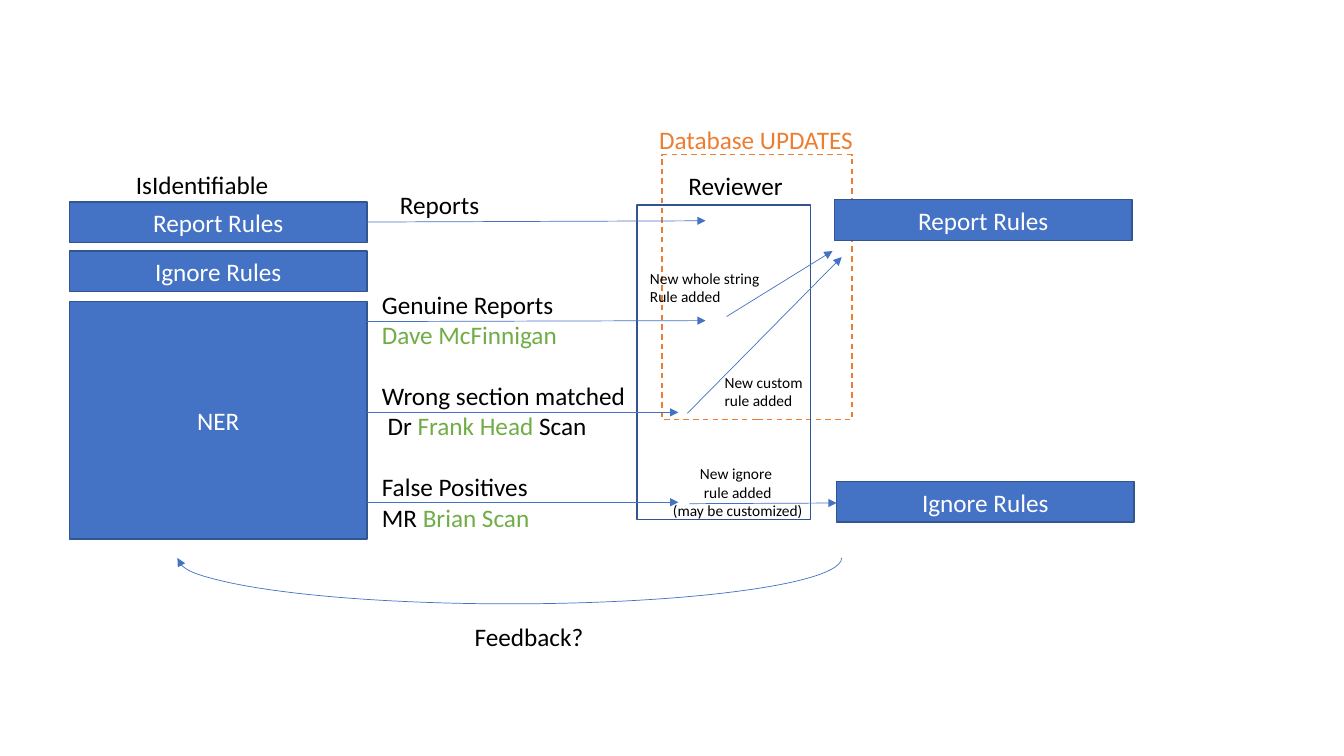
from lxml import etree
from pptx import Presentation
from pptx.dml.color import RGBColor
from pptx.enum import dml, shapes, text
from pptx.oxml import ns
from pptx.util import Pt

BLACK = RGBColor(0x00, 0x00, 0x00)
WHITE = RGBColor(0xFF, 0xFF, 0xFF)
BLUE = RGBColor(0x44, 0x72, 0xC4)
NAVY = RGBColor(0x32, 0x54, 0x91)
ORANGE = RGBColor(0xED, 0x7D, 0x31)
GREEN = RGBColor(0x70, 0xAD, 0x47)


def write(frame, groups, size=18, color=BLACK, align=text.PP_ALIGN.LEFT, gap=22):
    paragraph = None
    for group in groups:
        for row, runs in enumerate(group):
            first = paragraph is None
            paragraph = frame.paragraphs[0] if first else frame.add_paragraph()
            paragraph.alignment = align
            if row == 0 and not first:
                paragraph.space_before = Pt(gap)
            for words, tint in [(runs, color)] if isinstance(runs, str) else runs:
                run = paragraph.add_run()
                run.text = words
                run.font.name = "Calibri"
                run.font.size = Pt(size)
                run.font.color.rgb = tint


class Diagram:
    def __init__(self, slide):
        self.slide = slide

    def shape(self, kind, x, y, width, height, line, weight=1):
        item = self.slide.shapes.add_shape(kind, Pt(x), Pt(y), Pt(width), Pt(height))
        item.shadow.inherit = False
        item.fill.background()
        item.line.color.rgb = line
        item.line.width = Pt(weight)
        return item

    def frame(self, x, y, width, height, line, dash=None):
        outline = self.shape(shapes.MSO_SHAPE.RECTANGLE, x, y, width, height, line)
        outline.line.dash_style = dash

    def block(self, label, x, y, width=212.4, height=29):
        box = self.shape(shapes.MSO_SHAPE.RECTANGLE, x, y, width, height, NAVY)
        box.fill.solid()
        box.fill.fore_color.rgb = BLUE
        box.text_frame.vertical_anchor = text.MSO_ANCHOR.MIDDLE
        write(box.text_frame, [[label]], color=WHITE, align=text.PP_ALIGN.CENTER)

    def label(self, groups, x, y, width, height=29, **style):
        frame = self.slide.shapes.add_textbox(
            Pt(x), Pt(y), Pt(width), Pt(height)).text_frame
        frame.word_wrap = False
        frame.auto_size = text.MSO_AUTO_SIZE.SHAPE_TO_FIT_TEXT
        write(frame, groups, **style)

    def point(self, item):
        outline = item._element.spPr.get_or_add_ln()
        etree.SubElement(outline, ns.qn("a:tailEnd"), type="triangle")

    def arrow(self, x1, y1, x2, y2):
        link = self.slide.shapes.add_connector(
            shapes.MSO_CONNECTOR.STRAIGHT, Pt(x1), Pt(y1), Pt(x2), Pt(y2))
        link.line.color.rgb = BLUE
        link.line.width = Pt(0.5)
        self.point(link)
        etree.SubElement(link._element.spPr, ns.qn("a:effectLst"))

    def lower_arc(self, x, y, width, height):
        arc = self.shape(shapes.MSO_SHAPE.ARC, x, y, width, height, BLUE, 0.5)
        arc.adjustments[0] = 0
        arc.adjustments[1] = 108
        self.point(arc)


deck = Presentation()
deck.slide_width, deck.slide_height = Pt(960), Pt(540)
diagram = Diagram(deck.slides.add_slide(deck.slide_layouts[6]))

diagram.frame(473, 110.4, 135.6, 189.4, ORANGE, dml.MSO_LINE.DASH)
diagram.frame(455, 146.4, 123.8, 224.6, NAVY)

for rules, x, y in [("Report Rules", 49.7, 144.2), ("Ignore Rules", 49.7, 179.4),
                    ("Report Rules", 596.2, 142.6), ("Ignore Rules", 597.6, 344)]:
    diagram.block(rules, x, y)
diagram.block("NER", 49.7, 215.2, height=169.9)

for heading, x, y, width, color in [
        ("IsIdentifiable", 90, 117.4, 151, BLACK),
        ("Reviewer", 484.6, 118.1, 83.5, BLACK),
        ("Reports", 278.6, 131.8, 72, BLACK),
        ("Feedback?", 332, 440, 93, BLACK),
        ("Database UPDATES", 463.7, 85, 154, ORANGE)]:
    diagram.label([[heading]], x, y, width, color=color)

findings = [
    ["Genuine Reports", [("Dave McFinnigan", GREEN)]],
    ["Wrong section matched",
     [(" Dr ", BLACK), ("Frank Head", GREEN), (" Scan", BLACK)]],
    ["False Positives", [("MR ", BLACK), ("Brian Scan", GREEN)]],
]
diagram.label(findings, 265.7, 203, 190, 203.8)

for updates, x, y, width, height, align in [
        (["New custom", "rule added"], 510.5, 262.8, 70.6, 33.8, text.PP_ALIGN.LEFT),
        (["New whole string", "Rule added"], 457.2, 188.6, 93.6, 33.8, text.PP_ALIGN.LEFT),
        (["New ignore ", "rule added", "(may be customized)"],
         473, 328.3, 108, 47.5, text.PP_ALIGN.CENTER)]:
    diagram.label([updates], x, y, width, height, size=11, align=align)

for ends in [(262.1, 158.6, 504, 157.7), (262.1, 229.7, 504, 229),
             (262.1, 294.6, 484.6, 294.6), (262.1, 358.8, 484.6, 358.8),
             (492.5, 359.8, 597.6, 359.3), (491, 295.2, 601.2, 183.6),
             (519, 226.1, 594.7, 179.3)]:
    diagram.arrow(*ends)

diagram.lower_arc(126.7, 365.8, 474.5, 65.5)

deck.save("out.pptx")
